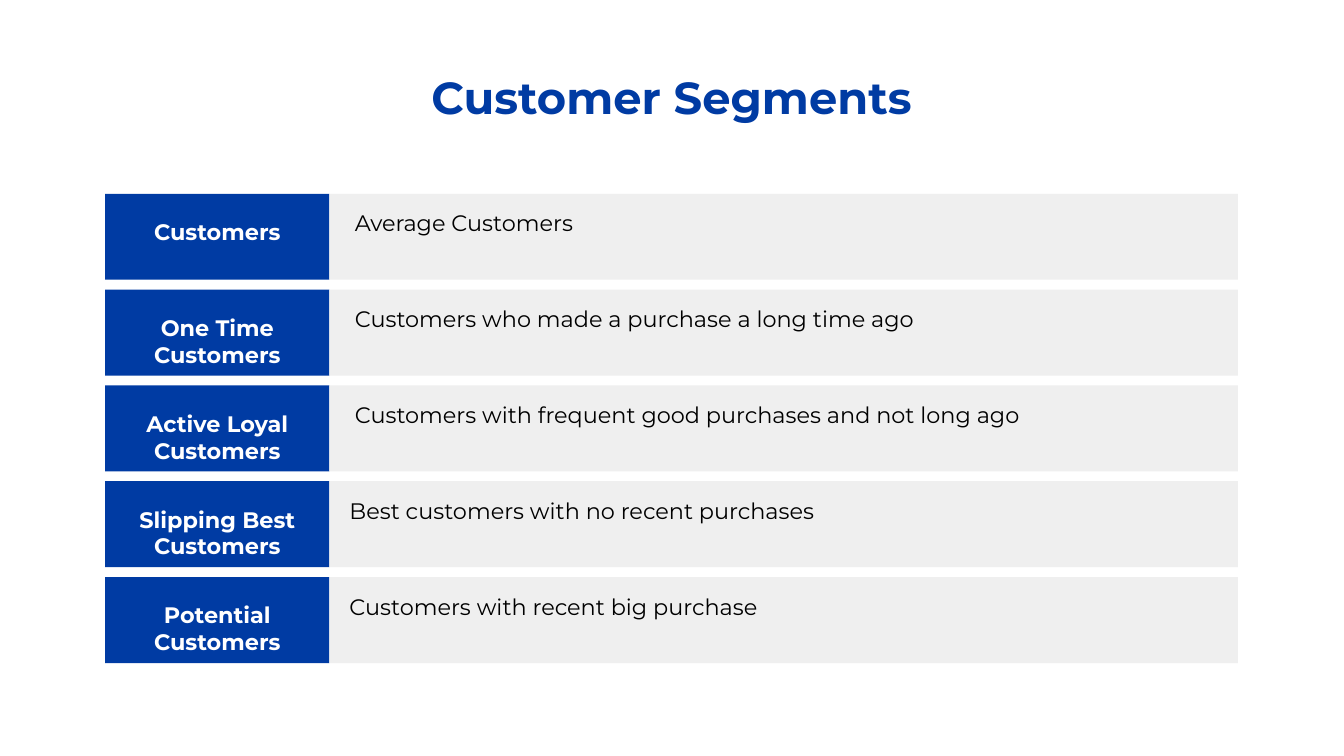
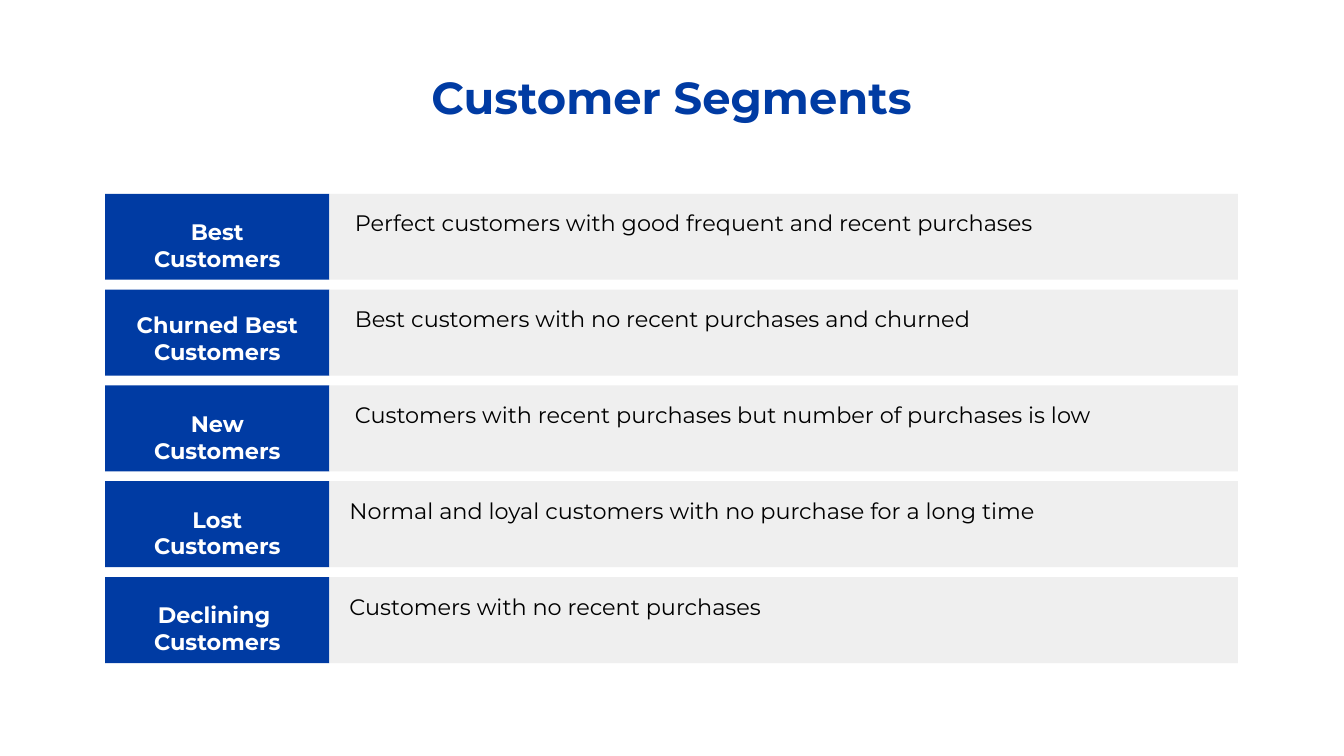
from dataclasses import dataclass

from pptx import Presentation
from pptx.dml.color import RGBColor
from pptx.enum.shapes import MSO_SHAPE
from pptx.enum.text import MSO_ANCHOR, PP_ALIGN
from pptx.util import Inches, Pt


@dataclass(frozen=True)
class Theme:
    font: str = "Montserrat"
    blue: str = "003BA3"
    grey: str = "EFEFEF"
    white: str = "FFFFFF"
    black: str = "000000"
    head: int = 24
    body: int = 12
    after: int = 16


# Grid: square cells, 100 columns across a slide 10 inches wide
CELL = Inches(0.1)
COLS, ROWS = 100, 56.25

# Segment table, in columns and rows
LEFT, TOP = 7.82, 14.42
NAME_W, NOTE_W = 16.7, 67.6
BAND_H, STEP = 6.4, 7.13
PAD = 0.9

# Each segment: name, note, indent of the note, lift of the name
DECK = [
    [
        ("Customers", "Average Customers", 0.9, 0),
        ("One Time Customers",
         "Customers who made a purchase a long time ago", 0.9, 0),
        ("Active Loyal Customers",
         "Customers with frequent good purchases and not long ago", 0.9, 0),
        ("Slipping Best Customers",
         "Best customers with no recent purchases", 0.5, 0),
        ("Potential Customers", "Customers with recent big purchase", 0.5, 0),
    ],
    [
        ("Best Customers",
         "Perfect customers with good frequent and recent purchases", 0.9, 0),
        ("Churned Best Customers",
         "Best customers with no recent purchases and churned", 0.9, 0.2),
        ("New Customers",
         "Customers with recent purchases but number of purchases is low",
         0.9, 0),
        ("Lost Customers",
         "Normal and loyal customers with no purchase for a long time",
         0.5, 0),
        ("Declining  Customers", "Customers with no recent purchases", 0.5, 0),
    ],
]


class Board:
    def __init__(self, theme):
        self.theme = theme
        self.deck = Presentation()
        self.deck.slide_width = round(COLS * CELL)
        self.deck.slide_height = round(ROWS * CELL)
        self.slide = None

    def start(self):
        self.slide = self.deck.slides.add_slide(self.deck.slide_layouts[6])
        fill = self.slide.background.fill
        fill.solid()
        fill.fore_color.rgb = RGBColor.from_string(self.theme.white)

    def place(self, *cells):
        return [round(n * CELL) for n in cells]

    def band(self, x, y, w, h, tone):
        box = self.slide.shapes.add_shape(
            MSO_SHAPE.RECTANGLE, *self.place(x, y, w, h))
        box.shadow.inherit = False
        box.fill.solid()
        box.fill.fore_color.rgb = RGBColor.from_string(tone)
        box.line.fill.background()

    def text(self, x, y, w, h, words, size, tone,
             bold=False, align=PP_ALIGN.LEFT, after=0):
        frame = self.slide.shapes.add_textbox(
            *self.place(x, y, w, h)).text_frame
        frame.word_wrap = True
        frame.vertical_anchor = MSO_ANCHOR.TOP
        frame.margin_left = frame.margin_right = CELL
        frame.margin_top = frame.margin_bottom = CELL
        para = frame.paragraphs[0]
        para.alignment = align
        para.space_after = Pt(after)
        run = para.add_run()
        run.text = words
        run.font.name = self.theme.font
        run.font.size = Pt(size)
        run.font.bold = bold
        run.font.color.rgb = RGBColor.from_string(tone)

    def title(self, words):
        self.text(LEFT, 4.2, NAME_W + NOTE_W, 10.2, words, self.theme.head,
                  self.theme.blue, bold=True, align=PP_ALIGN.CENTER)

    def name(self, y, words, lift):
        self.text(LEFT + PAD, y + 0.82 - lift, NAME_W - 2 * PAD, 4.7, words,
                  self.theme.body, self.theme.white, bold=True,
                  align=PP_ALIGN.CENTER, after=self.theme.after)

    def note(self, y, words, inset):
        self.text(LEFT + NAME_W + inset, y + 0.17, NOTE_W - 0.8, 6, words,
                  self.theme.body, self.theme.black, after=self.theme.after)

    def segment(self, row, name, note, inset, lift):
        y = TOP + row * STEP
        self.band(LEFT, y, NAME_W, BAND_H, self.theme.blue)
        self.band(LEFT + NAME_W, y, NOTE_W, BAND_H, self.theme.grey)
        self.name(y, name, lift)
        self.note(y, note, inset)


def main():
    board = Board(Theme())
    for rows in DECK:
        board.start()
        board.title("Customer Segments")
        for row, parts in enumerate(rows):
            board.segment(row, *parts)
    board.deck.save("out.pptx")


if __name__ == "__main__":
    main()
